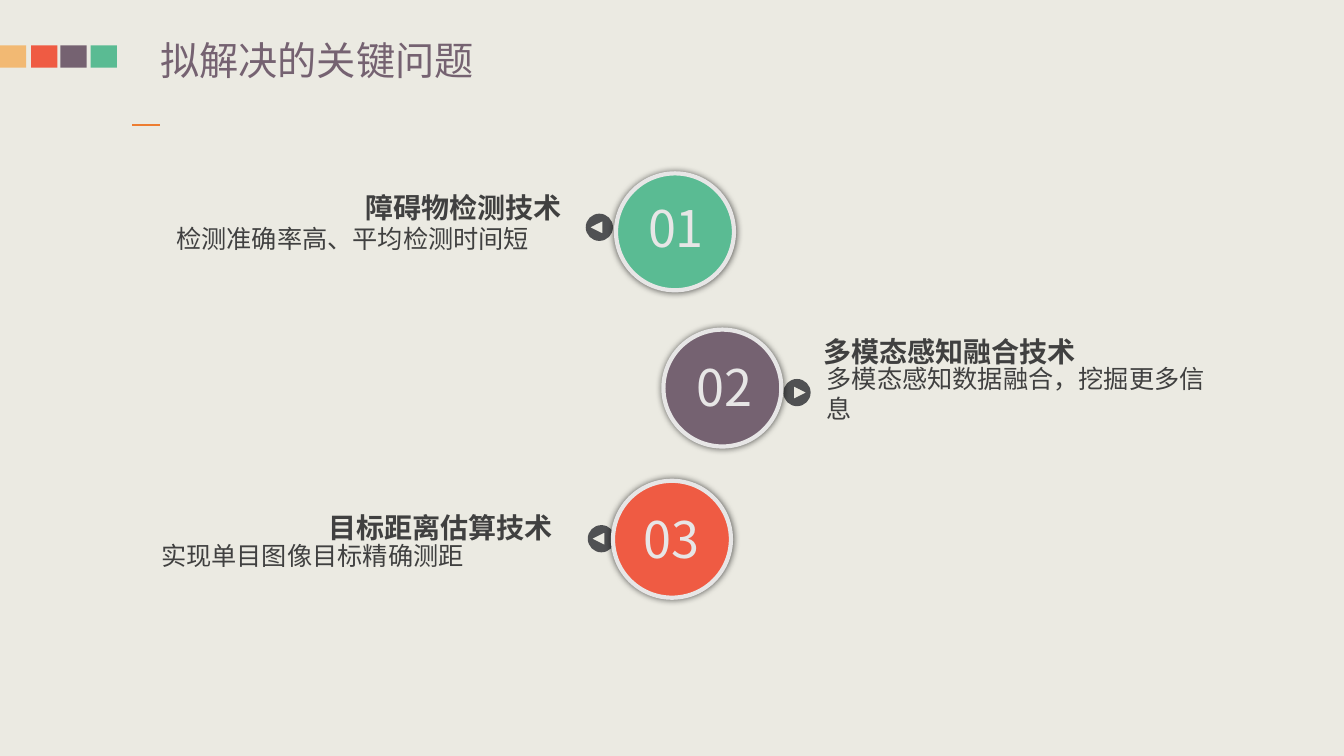
"""Builds the slide on the key problems to be solved."""
from lxml.etree import SubElement
from pptx import Presentation
from pptx.dml.color import RGBColor
from pptx.enum.shapes import MSO_CONNECTOR as CONNECTOR, MSO_SHAPE as SHAPE
from pptx.enum.text import MSO_AUTO_SIZE as AUTO_SIZE, PP_ALIGN as ALIGN
from pptx.oxml.ns import qn
from pptx.util import Pt

EMU_PER_PX = 9144
FONT = "Noto Sans CJK SC"
GREEN, PURPLE, RED, SAND = "5ABB93", "756271", "EF5B43", "F2B973"
ORANGE, PALE, BADGE, INK, PAPER = "ED7D31", "E7E6E6", "505153", "404040", "EBEAE2"
BADGE_SIZE = 27
QUARTER_ARC = 0.5523
ARROW = [(9, 0), (3, 3), (-3, 6), (-3, 0), (-3, -6), (3, -3), (9, 0)]

SQUARES = [(31, RED), (60, PURPLE), (90, GREEN), (0, SAND)]
BADGES = [(581, 212, -1), (777, 376, 1), (583, 521, -1)]
CIRCLES = [
    ("01", GREEN, (611, 172), (629, 191)),
    ("02", PURPLE, (658, 327), (677, 348)),
    ("03", RED, (608, 477), (625, 499)),
]
TOPICS = [
    ("障碍物检测技术", (213, 184, 354, 44), ALIGN.RIGHT,
     "检测准确率高、平均检测时间短", (165, 217, 410, 40)),
    ("多模态感知融合技术", (807, 327, 426, 44), ALIGN.LEFT,
     "多模态感知数据融合，挖掘更多信息", (810, 355, 405, 71)),
    ("目标距离估算技术", (204, 502, 354, 44), ALIGN.RIGHT,
     "实现单目图像目标精确测距", (150, 531, 408, 40)),
]


def px(*lengths):
    return [round(length * EMU_PER_PX) for length in lengths]


def paint(color_fill, color):
    color_fill.solid()
    color_fill.fore_color.rgb = RGBColor.from_string(color)


def style_plain(shape, color):
    shape.shadow.inherit = False
    paint(shape.fill, color)
    shape.line.fill.background()


def add_figure(shapes, kind, box, color):
    shape = shapes.add_shape(kind, *px(*box))
    style_plain(shape, color)
    return shape


def add_text(shapes, box, text, size, color, align=ALIGN.LEFT, bold=False, inset=True):
    textbox = shapes.add_textbox(*px(*box))
    frame = textbox.text_frame
    frame.word_wrap = True
    frame.auto_size = AUTO_SIZE.SHAPE_TO_FIT_TEXT
    if not inset:
        frame.margin_left = frame.margin_top = 0
        frame.margin_right = frame.margin_bottom = 0
    paragraph = frame.paragraphs[0]
    paragraph.alignment = align
    run = paragraph.add_run()
    run.text = text
    font = run.font
    font.size, font.bold, font.name = Pt(size), bold, FONT
    paint(font.fill, color)
    SubElement(run._r.get_or_add_rPr(), qn("a:ea"), typeface=FONT)


def add_rule(shapes, start, end, color):
    connector = shapes.add_connector(CONNECTOR.STRAIGHT, *px(*start, *end))
    paint(connector.line.fill, color)
    connector.line.width = Pt(1.5)
    SubElement(connector._element.spPr, qn("a:effectLst"))


def round_corners(shape, corners):
    """Turns the first four sides of the outline into quarter arcs."""
    sides = list(shape._element.iter(qn("a:lnTo")))[:4]
    for side, start, end, before in zip(sides, corners, corners[1:], [corners[3]] + corners):
        center = [(a + b) / 2 for a, b in zip(before, end)]
        outer = [a + b - c for a, b, c in zip(start, end, center)]
        side.tag = qn("a:cubicBezTo")
        for position, anchor in enumerate((start, end)):
            x, y = (round(a + QUARTER_ARC * (o - a)) for a, o in zip(anchor, outer))
            point = SubElement(side, qn("a:pt"), x=str(x), y=str(y))
            side.insert(position, point)


def add_badge(shapes, left, top, direction):
    half = BADGE_SIZE / 2
    corners = [px(half + x, half + y)
               for x, y in [(0, -half), (-half, 0), (0, half), (half, 0), (0, -half)]]
    arrow = [px(half + direction * x, half + y) for x, y in ARROW]
    builder = shapes.build_freeform(*corners[0])
    builder.add_line_segments(corners[1:])
    builder.move_to(*arrow[0])
    builder.add_line_segments(arrow[1:])
    shape = builder.convert_to_shape(*px(left, top))
    round_corners(shape, corners)
    style_plain(shape, BADGE)


def add_glow(shape):
    effects = shape._element.spPr.find(qn("a:effectLst"))
    shadow = SubElement(effects, qn("a:outerShdw"), blurRad=str(Pt(5)), dist="0", dir="0",
                        algn="ctr", rotWithShape="0")
    black = SubElement(shadow, qn("a:srgbClr"), val="000000")
    SubElement(black, qn("a:alpha"), val="60000")


def add_circle(shapes, number, color, circle_at, number_at):
    members = shapes.add_group_shape().shapes
    circle = add_figure(members, SHAPE.OVAL, (*circle_at, 117, 116), color)
    paint(circle.line.fill, PALE)
    circle.line.width = Pt(3)
    add_glow(circle)
    add_text(members, (*number_at, 83, 71), number, 36, PALE, ALIGN.CENTER)


def add_topic(shapes, heading, heading_box, align, detail, detail_box):
    members = shapes.add_group_shape().shapes
    add_text(members, detail_box, detail, 18, INK)
    add_text(members, heading_box, heading, 20, INK, align, bold=True)


def main():
    presentation = Presentation()
    presentation.slide_width, presentation.slide_height = px(1333, 750)
    slide = presentation.slides.add_slide(presentation.slide_layouts[6])
    paint(slide.background.fill, PAPER)
    shapes = slide.shapes

    squares = shapes.add_group_shape().shapes
    for left, color in SQUARES:
        add_figure(squares, SHAPE.RECTANGLE, (left, 45, 26, 22), color)
    add_rule(shapes, (131, 124), (159, 124), ORANGE)
    for badge in BADGES:
        add_badge(shapes, *badge)
    for circle in CIRCLES:
        add_circle(shapes, *circle)
    for topic in TOPICS:
        add_topic(shapes, *topic)
    add_text(shapes, (159, 36, 399, 47), "拟解决的关键问题", 28, PURPLE, inset=False)

    presentation.save("out.pptx")


if __name__ == "__main__":
    main()
